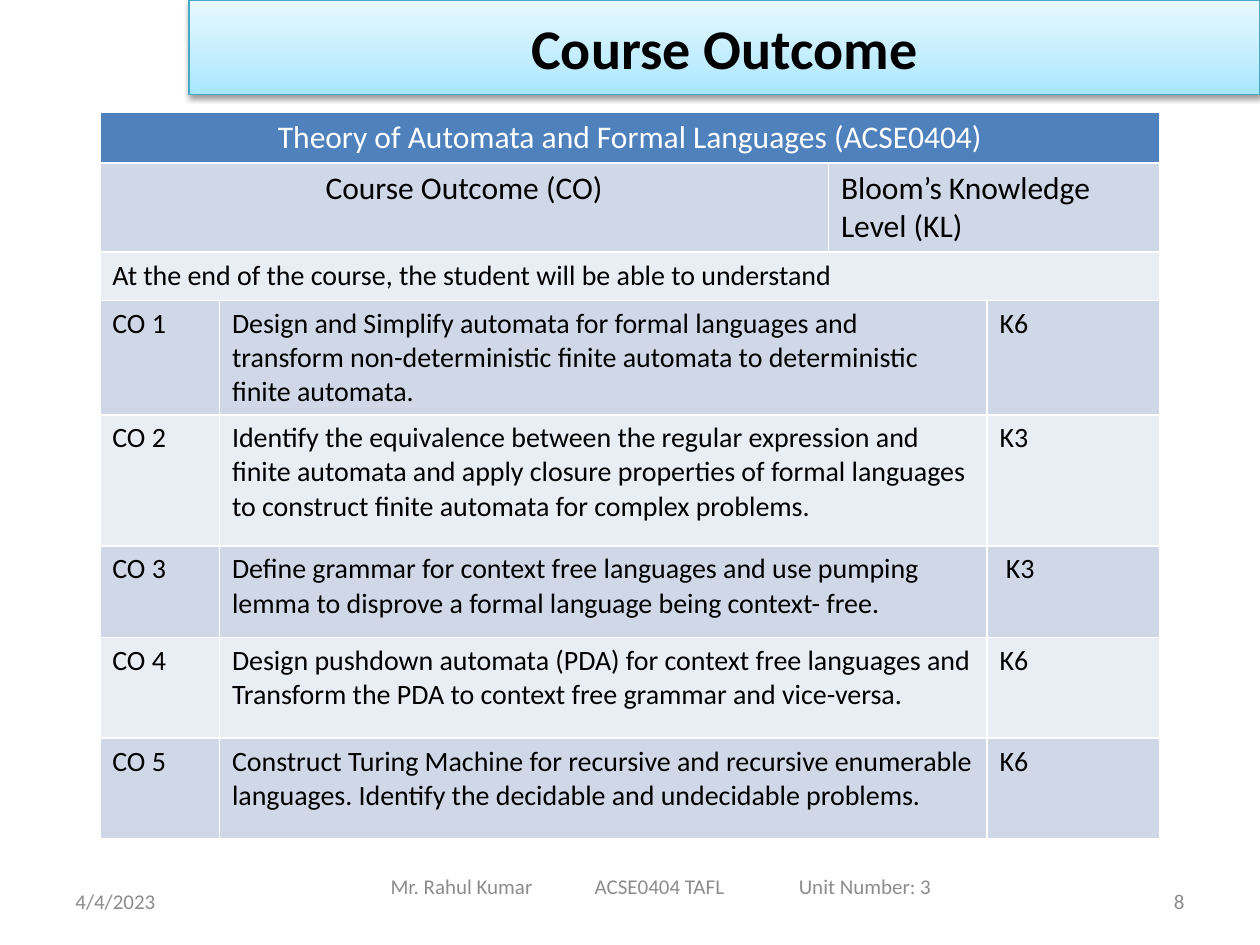
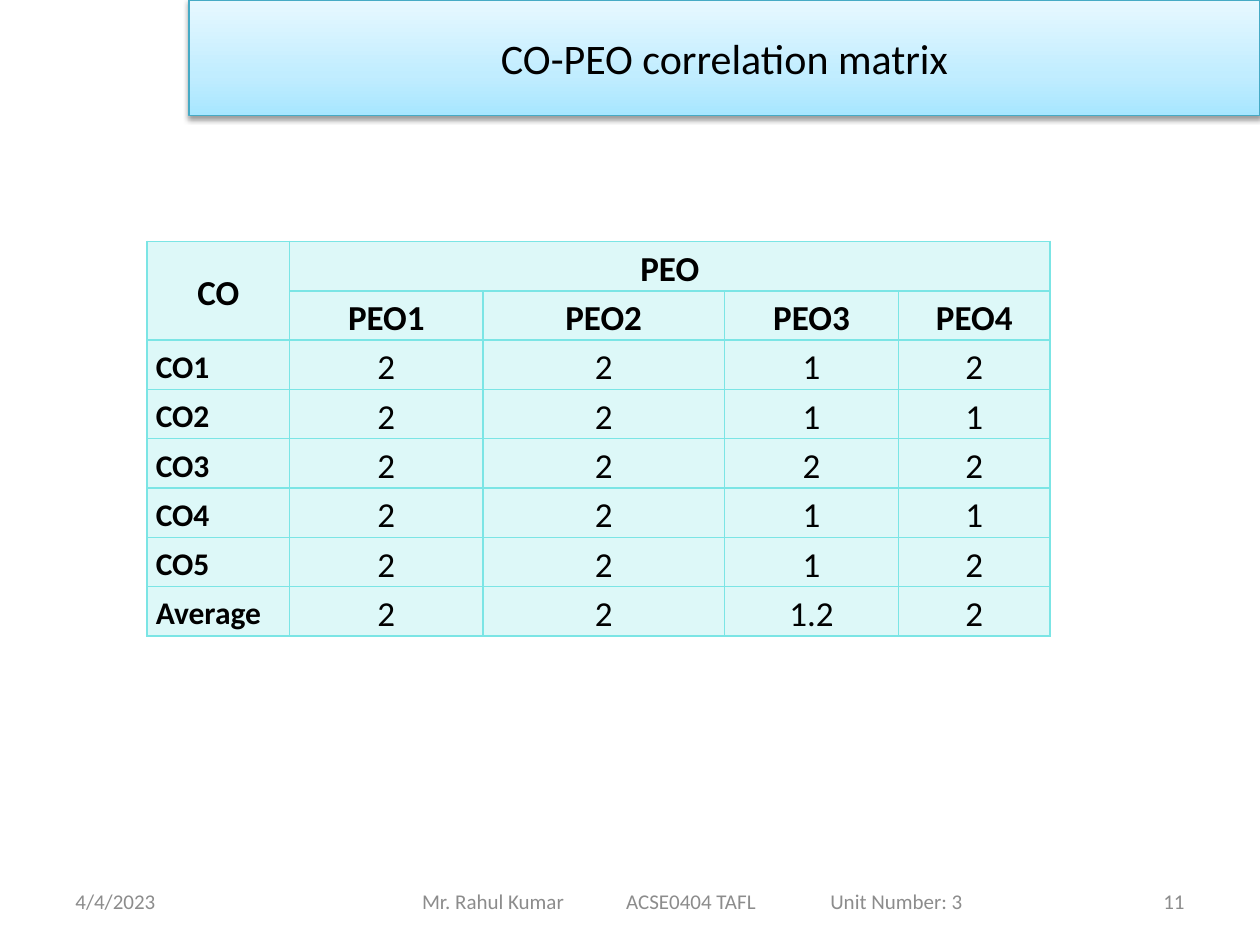
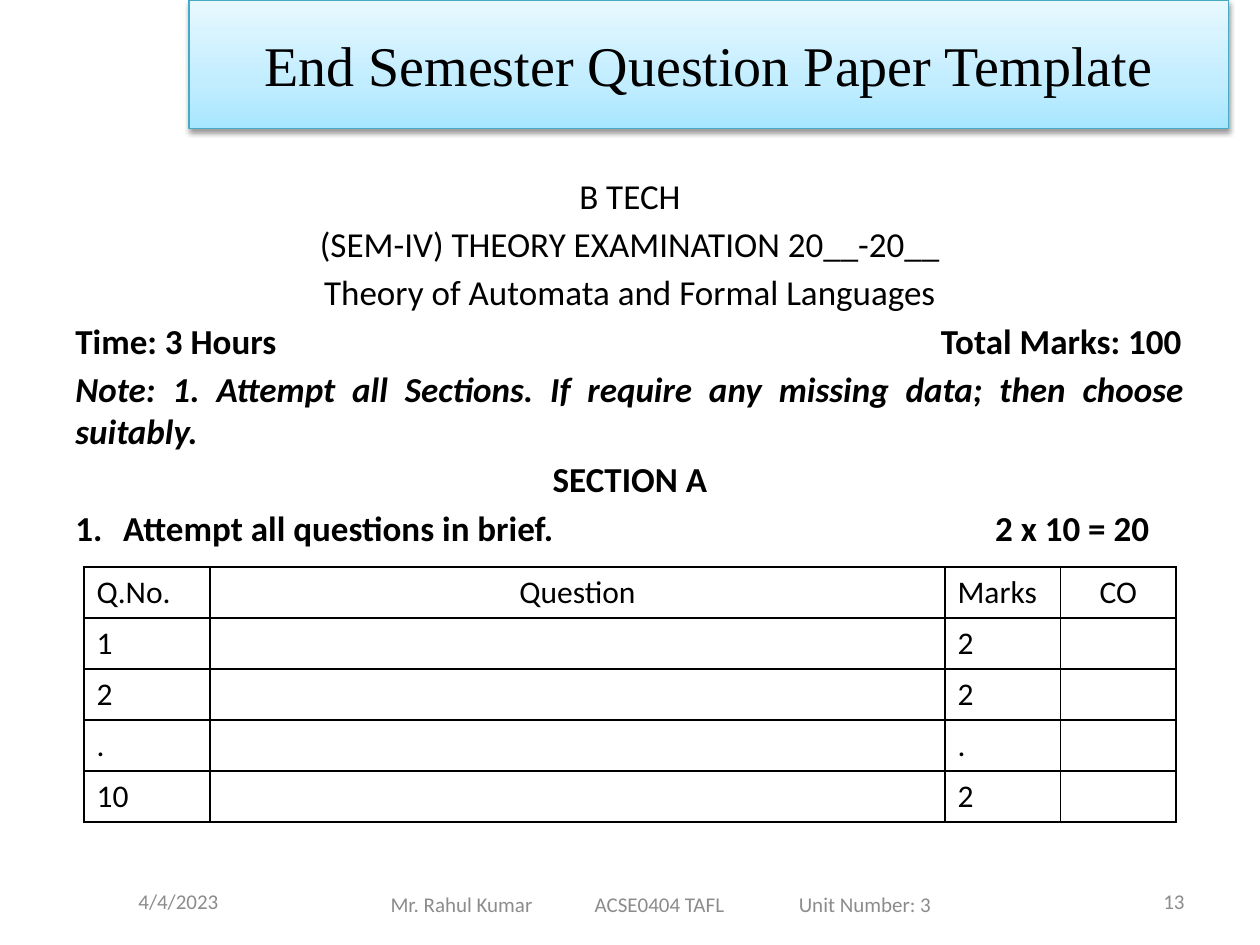
"""Build three course slides: outcomes, a correlation matrix and a question paper."""
from dataclasses import dataclass

from lxml import etree
from pptx import Presentation, util as u
from pptx.dml.color import RGBColor
from pptx.enum import text as t
from pptx.oxml.ns import nsdecls, qn

LEFT, MID, RIGHT, JUST = (t.PP_ALIGN.LEFT, t.PP_ALIGN.CENTER,
                          t.PP_ALIGN.RIGHT, t.PP_ALIGN.JUSTIFY)


@dataclass(frozen=True)
class Theme:
    cols: int = 120
    rows: int = 90
    sans: str = "Calibri"
    serif: str = "Times New Roman"
    ink: str = "000000"
    white: str = "FFFFFF"
    grey: str = "8C8C8C"
    edge: str = "46AAC5"
    head: str = "4F81BD"
    dark: str = "D0D8E8"
    pale: str = "E9EDF4"
    aqua: str = "7BE5E5"
    band: tuple = ((0, "A7E6FF"), (35, "C1EDFF"), (100, "E7F8FF"))
    big: int = 32
    sub: int = 24
    body: int = 20
    mid: int = 18
    small: int = 16
    foot: int = 12


class Deck:
    def __init__(self, theme):
        self.th = theme
        self.prs = Presentation()
        self.prs.slide_width, self.prs.slide_height = u.Inches(10), u.Inches(7.5)
        self.slide = None

    def x(self, n):
        return round(self.prs.slide_width * n / self.th.cols)

    def y(self, n):
        return round(self.prs.slide_height * n / self.th.rows)

    def box(self, left, top, wide, high):
        return self.x(left), self.y(top), self.x(wide), self.y(high)

    def style(self, para, size, color=None, bold=False, align=LEFT, face=None):
        para.alignment = align
        font = para.font
        font.name, font.size, font.bold = face or self.th.sans, u.Pt(size), bold
        font.color.rgb = RGBColor.from_string(color or self.th.ink)

    def page(self, title, high, wide=102, **look):
        self.slide = self.prs.slides.add_slide(self.prs.slide_layouts[5])
        bar = self.slide.shapes.title
        bar.left, bar.top, bar.width, bar.height = self.box(18, 0, wide, high)
        frame = bar.text_frame
        frame.text, frame.word_wrap = title, True
        frame.auto_size = t.MSO_AUTO_SIZE.NONE
        frame.vertical_anchor = t.MSO_ANCHOR.MIDDLE
        self.style(frame.paragraphs[0], align=MID, **look)
        stops = "".join(f'<a:gs pos="{p * 1000}"><a:srgbClr val="{c}"/></a:gs>'
                        for p, c in self.th.band)
        props = bar.element.spPr
        props.append(etree.fromstring(
            f'<a:gradFill {nsdecls("a")} rotWithShape="1"><a:gsLst>{stops}</a:gsLst>'
            '<a:lin ang="16200000" scaled="0"/></a:gradFill>'))
        bar.line.color.rgb = RGBColor.from_string(self.th.edge)
        bar.line.width = u.Pt(0.75)
        props.append(etree.fromstring(
            f'<a:effectLst {nsdecls("a")}><a:outerShdw blurRad="40000" dist="20000" '
            'dir="5400000" rotWithShape="0"><a:srgbClr val="000000">'
            '<a:alpha val="38000"/></a:srgbClr></a:outerShdw></a:effectLst>'))

    def label(self, place, words, anchor=t.MSO_ANCHOR.MIDDLE, **look):
        frame = self.slide.shapes.add_textbox(*self.box(*place)).text_frame
        frame.word_wrap, frame.vertical_anchor = True, anchor
        frame.text = words
        for para in frame.paragraphs:
            self.style(para, **look)
        return frame

    def tabs(self, para, *stops):
        props = para._p.get_or_add_pPr()
        group = etree.Element(qn("a:tabLst"))
        for inch, side in stops:
            etree.SubElement(group, qn("a:tab"), pos=str(u.Inches(inch)), algn=side)
        props.insert_element_before(group, "a:defRPr", "a:extLst")

    def footer(self, number, left=30, top=83.4, day=(6, 28, LEFT)):
        look = dict(size=self.th.foot, color=self.th.grey)
        start, wide, align = day
        self.label((start, 83.4, wide, 4.8), "4/4/2023", align=align, **look)
        frame = self.label((left, top, 66, 4.8),
                           "Mr. Rahul Kumar\tACSE0404 TAFL\tUnit Number: 3", **look)
        frame.margin_left = u.Inches(0.6)
        self.tabs(frame.paragraphs[0], (1.62, "l"), (3.24, "l"))
        self.label((86, 83.4, 28, 4.8), str(number), align=RIGHT, **look)

    def paint(self, cell, fill, edge, alpha):
        cell.fill.solid()
        cell.fill.fore_color.rgb = RGBColor.from_string(fill)
        props = cell._tc.tcPr
        if alpha < 100:
            tint = props.find(".//" + qn("a:srgbClr"))
            etree.SubElement(tint, qn("a:alpha"), val=str(alpha * 1000))
        for spot, side in enumerate("LRTB"):
            props.insert(spot, etree.fromstring(
                f'<a:ln{side} {nsdecls("a")} w="12700"><a:solidFill>'
                f'<a:srgbClr val="{edge}"/></a:solidFill></a:ln{side}>'))

    def table(self, place, cols, rows, cells, edge, look, alpha=100, tight=False):
        """Draw a table; None joins the cell on its left, or above in column one."""
        area = self.box(*place, sum(cols), sum(rows))
        grid = self.slide.shapes.add_table(len(rows), len(cols), *area).table
        for col, wide in zip(grid.columns, cols):
            col.width = self.x(wide)
        for row, high in zip(grid.rows, rows):
            row.height = self.y(high)
        for r, line in enumerate(cells):
            for c, words in enumerate(line):
                cell = grid.cell(r, c)
                fill, anchor, font = look(r, c)
                self.paint(cell, fill, edge, alpha)
                if tight:
                    cell.margin_left = cell.margin_right = u.Inches(0.07)
                    cell.margin_top = cell.margin_bottom = 0
                if words is None:
                    continue
                cell.text, cell.vertical_anchor = words, anchor
                para = cell.text_frame.paragraphs[0]
                self.style(para, **font)
                if tight:
                    para.line_spacing = 1.15
        for r, line in enumerate(cells):
            if line[0] is None:
                grid.cell(r - 1, 0).merge(grid.cell(r, 0))
            for c in range(len(line)):
                end = c
                while end + 1 < len(line) and line[end + 1] is None:
                    end += 1
                if line[c] is not None and end > c:
                    grid.cell(r, c).merge(grid.cell(r, end))


def outcome(deck):
    th = deck.th
    deck.page("Course Outcome", 9, size=th.big, bold=True)
    deck.footer(8, top=82)
    goals = [
        ("Design and Simplify automata for formal languages and transform "
         "non-deterministic finite automata to deterministic finite automata.", "K6"),
        ("Identify the equivalence between the regular expression and finite automata "
         "and apply closure properties of formal languages to construct finite "
         "automata for complex problems.", "K3"),
        ("Define grammar for context free languages and use pumping lemma to disprove "
         "a formal language being context- free.", " K3"),
        ("Design pushdown automata (PDA) for context free languages and Transform the "
         "PDA to context free grammar and vice-versa.", "K6"),
        ("Construct Turing Machine for recursive and recursive enumerable languages. "
         "Identify the decidable and undecidable problems.", "K6"),
    ]
    cells = [
        ["Theory of Automata and Formal Languages (ACSE0404)", None, None, None],
        ["Course Outcome (CO)", None, "Bloom’s Knowledge Level (KL)", None],
        ["At the end of the course, the student will be able to understand",
         None, None, None],
    ] + [[f"CO {n}", goal, None, level] for n, (goal, level) in enumerate(goals, 1)]

    def look(r, c):
        fill = th.head if r == 0 else th.dark if r % 2 else th.pale
        return fill, t.MSO_ANCHOR.TOP, dict(
            size=th.mid if r < 2 else th.small,
            color=th.ink if r else th.white,
            align=MID if r < 2 and c == 0 else LEFT)

    deck.table((9.5, 10.7), (11.4, 58, 15.1, 16.5),
               (4.8, 8.5, 4.6, 10.9, 12.5, 8.7, 9.6, 9.6), cells, th.white, look)


def matrix(deck):
    th = deck.th
    deck.page("CO-PEO correlation matrix", 11, size=th.sub)
    deck.footer(11, left=33)
    marks = {"CO1": "2 2 1 2", "CO2": "2 2 1 1", "CO3": "2 2 2 2",
             "CO4": "2 2 1 1", "CO5": "2 2 1 2", "Average": "2 2 1.2 2"}
    cells = [["CO", "PEO", None, None, None],
             [None] + [f"PEO{n}" for n in range(1, 5)]]
    cells += [[name, *row.split()] for name, row in marks.items()]

    def look(r, c):
        side = r > 1 and c == 0
        anchor = t.MSO_ANCHOR.TOP if c else t.MSO_ANCHOR.MIDDLE
        return th.aqua, anchor, dict(size=th.mid if side else th.body,
                                     bold=r < 2 or c == 0,
                                     align=LEFT if side else MID)

    deck.table((14, 23), (13.6, 18.4, 23, 16.6, 14.4), [4.7] * 8, cells,
               th.aqua, look, alpha=25, tight=True)


def paper(deck):
    th = deck.th
    deck.page("End Semester Question Paper Template", 12.25, wide=99,
              size=th.big, face=th.serif)
    deck.footer(13, top=83.7, day=(8, 18, MID))
    lines = [
        ("B TECH", MID, False),
        ("(SEM-IV) THEORY EXAMINATION 20__-20__", MID, False),
        ("Theory of Automata and Formal Languages", MID, False),
        ("Time: 3 Hours\tTotal Marks: 100", LEFT, True),
        ("Note: 1. Attempt all Sections. If require any missing data; "
         "then choose suitably.", JUST, True),
        ("SECTION A", MID, True),
        ("Attempt all questions in brief.\t2 x 10 = 20", LEFT, True),
    ]
    frame = deck.label((6, 16, 108, 62.4), "\n".join(line[0] for line in lines),
                       anchor=t.MSO_ANCHOR.TOP, size=th.body)
    for para, (_, align, bold) in zip(frame.paragraphs, lines):
        para.alignment, para.font.bold = align, bold
        para.space_before = u.Pt(3.6)
    time, note, _, task = frame.paragraphs[3:]
    note.font.italic = True
    deck.tabs(time, (8.78, "r"))
    props = task._p.get_or_add_pPr()
    hang = u.Inches(0.38)
    props.set("marL", str(hang))
    props.set("indent", str(-hang))
    props.insert_element_before(
        etree.Element(qn("a:buAutoNum"), type="arabicPeriod"), "a:defRPr")
    deck.tabs(task, (7.3, "l"))

    cells = [["Q.No.", "Question", "Marks", "CO"]]
    cells += [[n, "", mark, ""] for n, mark in zip(("1", "2", ".", "10"), "22.2")]

    def look(r, c):
        return th.white, t.MSO_ANCHOR.TOP, dict(
            size=th.mid, align=MID if c % 2 else LEFT)

    deck.table((8, 54), (12, 70, 11, 11), [4.86] * 5, cells, th.ink, look)


def main():
    deck = Deck(Theme())
    for build in (outcome, matrix, paper):
        build(deck)
    deck.prs.save("out.pptx")


if __name__ == "__main__":
    main()
